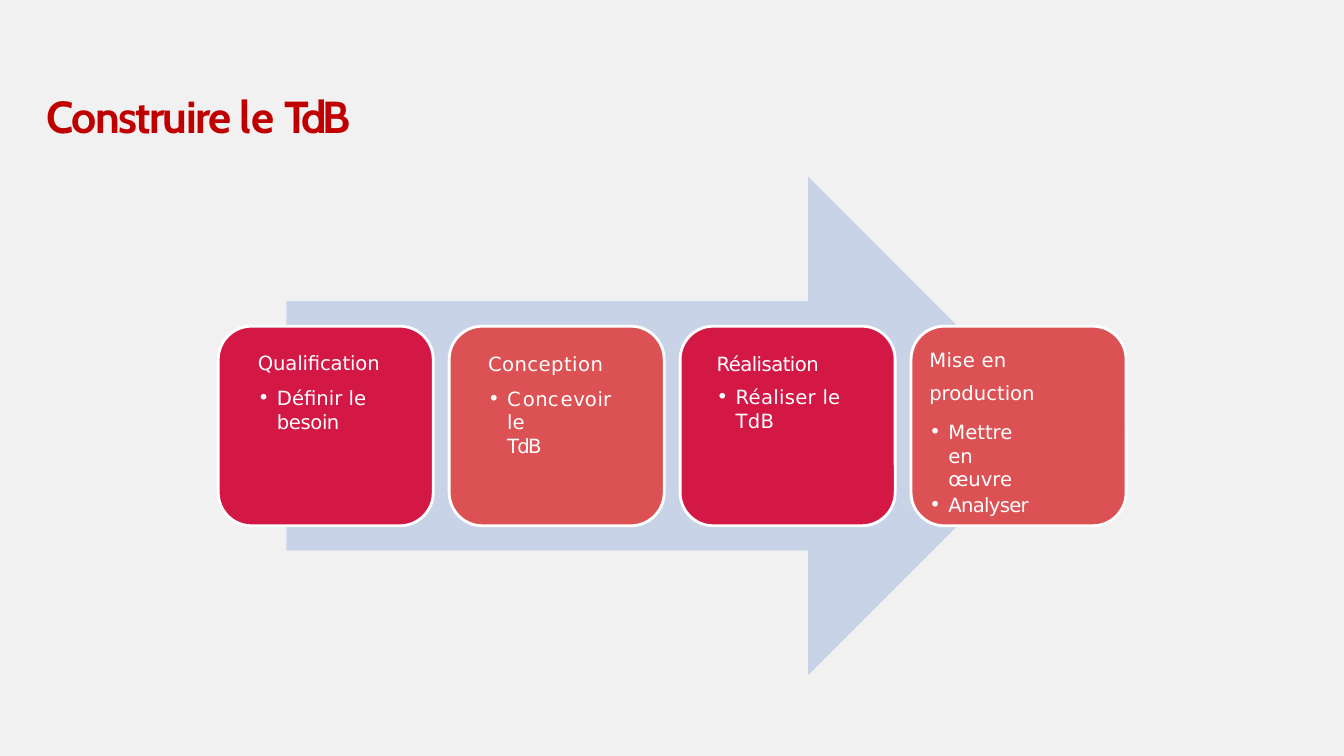
"""Build the slide « Construire le TdB »: four steps laid over a wide arrow."""
from lxml import etree
from pptx import Presentation
from pptx.dml.color import RGBColor
from pptx.enum.shapes import MSO_SHAPE
from pptx.enum.text import MSO_ANCHOR, MSO_AUTO_SIZE, PP_ALIGN
from pptx.oxml.ns import qn
from pptx.util import Cm, Pt

ARROW = MSO_SHAPE.RIGHT_ARROW
ROUNDED = MSO_SHAPE.ROUNDED_RECTANGLE
RECTANGLE = MSO_SHAPE.RECTANGLE
TOP = MSO_ANCHOR.TOP
LEFT = PP_ALIGN.LEFT
NO_AUTOFIT = MSO_AUTO_SIZE.NONE

SLIDE_WIDTH, SLIDE_HEIGHT = 33.87, 19.05
STEP_FONT = "DejaVu Sans"

# Runs are pairs of text and letter spacing in points.
TITLE = [("Construire ", -1.2), ("le ", -0.2), ("TdB", -2.9)]
CONCEVOIR = [("C", 1.4), ("o", 0.5), ("n", -0.6), ("c", 1.4), ("e", 0.4), ("v", -0.8),
             ("o", 0.5), ("i", -0.9), ("r ", -1.8), ("l", -0.9), ("e", 0.8)]

# Each line: style, space before in points, runs.
STEPS = [
    {"box": (6.47, 8.55, 3.15, 2.44), "lines": [
        ("heading", 9.2, [("Qualification", -0.1)]),
        ("bullet", 8.2, [("Définir le", 0)]),
        ("continued", 0.2, [("besoin", -0.3)])]},
    {"box": (12.27, 8.56, 3.53, 2.44), "lines": [
        ("heading", 9.2, [("Conception", 0.3)]),
        ("bullet", 8.2, CONCEVOIR),
        ("continued", 0.2, [("TdB", -1.2)])]},
    {"box": (18.03, 8.56, 3.81, 1.75), "lines": [
        ("heading", 8, [("Réalisation", -0.4)]),
        ("bullet", 7, [("Réaliser le TdB", 0.2)])]},
    {"box": (23.39, 8.46, 2.79, 4.01), "lines": [
        ("heading", 8.2, [("Mise en", 0.2)]),
        ("heading", 7.2, [("production", 0)]),
        ("bullet", 10.8, [("Mettre en œuvre", 0)]),
        ("bullet", 2, [("Analyser", -0.5)])]},
]
STEP_COLORS = ("D41846", "DC5254")
INDENTS = {"heading": (0.03, 0), "bullet": (0.51, -0.48), "continued": (0.51, 0)}
CARD_LEFT, CARD_TOP, CARD_WIDTH, CARD_HEIGHT = 5.5, 8.22, 5.42, 5.03
CARD_PITCH = 5.82


def color(hex_value):
    return RGBColor.from_string(hex_value)


def add_block(slide, kind, box, fill, line=None):
    shape = slide.shapes.add_shape(kind, *(Cm(length) for length in box))
    shape.shadow.inherit = False
    shape.fill.solid()
    shape.fill.fore_color.rgb = color(fill)
    if line:
        shape.line.color.rgb = color(line)
        shape.line.width = Pt(2)
    else:
        shape.line.fill.background()


def prepare_frame(frame, top_margin):
    frame.word_wrap = True
    frame.auto_size = NO_AUTOFIT
    frame.vertical_anchor = TOP
    frame.margin_left = frame.margin_right = frame.margin_bottom = 0
    frame.margin_top = Cm(top_margin)


def format_paragraph(paragraph, font_name, size, font_color, bold=False):
    paragraph.alignment = LEFT
    font = paragraph.font
    font.name, font.size, font.bold = font_name, Pt(size), bold
    font.color.rgb = color(font_color)


def add_runs(paragraph, runs):
    for text, spacing in runs:
        run = paragraph.add_run()
        run.text = text
        run.font._element.set("spc", str(round(spacing * 100)))


def set_indent(paragraph, style):
    margin, indent = INDENTS[style]
    properties = paragraph._p.get_or_add_pPr()
    properties.set("marL", str(Cm(margin)))
    properties.set("indent", str(Cm(indent)))
    if style == "bullet":
        defaults = properties.find(qn("a:defRPr"))
        defaults.addprevious(etree.Element(qn("a:buFont"), typeface=STEP_FONT))
        defaults.addprevious(etree.Element(qn("a:buChar"), char="•"))


def add_step_text(slide, box, lines):
    frame = slide.shapes.add_textbox(*(Cm(length) for length in box)).text_frame
    prepare_frame(frame, 0.3)
    for index, (style, space_before, runs) in enumerate(lines):
        paragraph = frame.add_paragraph() if index else frame.paragraphs[0]
        paragraph.space_before = Pt(space_before)
        format_paragraph(paragraph, STEP_FONT, 14, "FFFFFF")
        set_indent(paragraph, style)
        add_runs(paragraph, runs)


def add_title(slide):
    title = slide.shapes.title
    title.left, title.top, title.width, title.height = Cm(1.14), Cm(2.21), Cm(9.09), Cm(1.42)
    prepare_frame(title.text_frame, 0.03)
    paragraph = title.text_frame.paragraphs[0]
    format_paragraph(paragraph, "Cabin", 32, "C00000", bold=True)
    set_indent(paragraph, "heading")
    add_runs(paragraph, TITLE)
    slide.shapes._spTree.append(title._element)


def main():
    presentation = Presentation()
    presentation.slide_width, presentation.slide_height = Cm(SLIDE_WIDTH), Cm(SLIDE_HEIGHT)
    slide = presentation.slides.add_slide(presentation.slide_layouts[5])
    add_block(slide, RECTANGLE, (0, 0, SLIDE_WIDTH, SLIDE_HEIGHT), "F1F1F1")
    add_block(slide, ARROW, (7.22, 4.45, 19.43, 12.57), "C8D3E8")
    for index, step in enumerate(STEPS):
        card = (CARD_LEFT + index * CARD_PITCH, CARD_TOP, CARD_WIDTH, CARD_HEIGHT)
        add_block(slide, ROUNDED, card, STEP_COLORS[index % 2], "FFFFFF")
        add_step_text(slide, step["box"], step["lines"])
    add_title(slide)
    presentation.save("out.pptx")


if __name__ == "__main__":
    main()
